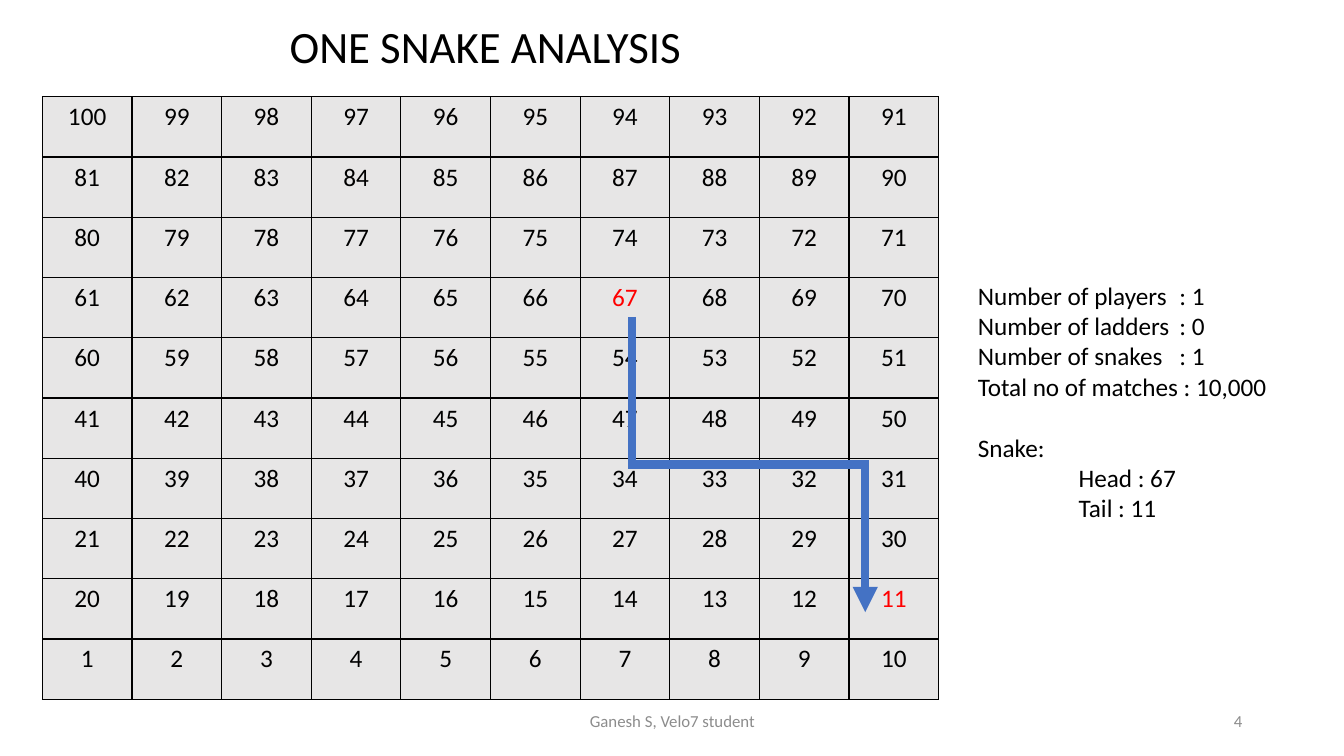
"""Build the one-snake board analysis slide."""
from lxml.etree import SubElement
from pptx import Presentation
from pptx.dml.color import RGBColor
from pptx.enum.shapes import MSO_CONNECTOR
from pptx.enum.text import MSO_ANCHOR, PP_ALIGN
from pptx.oxml.ns import qn
from pptx.util import Inches, Pt

TITLE = "ONE SNAKE ANALYSIS "
FACTS = [
    "Number of players\t: 1",
    "Number of ladders\t: 0",
    "Number of snakes\t: 1",
    "Total no of matches : 10,000",
    "Snake:",
    "\tHead : 67",
    "\tTail : 11",
]
FOOTER, PAGE = "Ganesh S, Velo7 student", "4"
SNAKE = {67, 11}
COLORS = {"ink": "000000", "cell": "E7E6E6", "snake": "FF0000",
          "arrow": "4472C4", "muted": "8C8C8C"}
FONT = "Calibri"

SIDE = 10
LEFT, TOP, WIDTH, HEIGHT = 0.42, 0.96, 8.89, 5.98
COL, ROW = WIDTH / SIDE, HEIGHT / SIDE
HEAD, TAIL = (6.58, 3.65), (9.18, 8.55)
FACT_TABS = {0: 2, 1: 2, 2: 2, 5: 1, 6: 1}


def color(name):
    return RGBColor.from_string(COLORS[name])


def style(paragraph, size, ink="ink", align=PP_ALIGN.LEFT):
    paragraph.alignment = align
    font = paragraph.font
    font.name, font.size, font.color.rgb = FONT, Pt(size), color(ink)


def add_text(slide, box, lines, size, ink="ink", align=PP_ALIGN.LEFT, anchor=MSO_ANCHOR.TOP):
    frame = slide.shapes.add_textbox(*map(Inches, box)).text_frame
    frame.word_wrap = True
    frame.vertical_anchor = anchor
    frame.text = "\n".join(lines)
    for paragraph in frame.paragraphs:
        style(paragraph, size, ink, align)
    return frame.paragraphs


def add_tab(paragraph, inches):
    properties = paragraph._p.get_or_add_pPr()
    stops = properties.makeelement(qn("a:tabLst"))
    properties.find(qn("a:defRPr")).addprevious(stops)
    SubElement(stops, qn("a:tab"), pos=str(Inches(inches)), algn="l")


def add_borders(cell):
    properties = cell._tc.get_or_add_tcPr()
    for side in "LRTB":
        line = SubElement(properties, qn(f"a:ln{side}"), w=str(Pt(1)))
        fill = SubElement(line, qn("a:solidFill"))
        SubElement(fill, qn("a:srgbClr"), val=COLORS["ink"])


def add_board(slide):
    board = slide.shapes.add_table(
        SIDE, SIDE, *map(Inches, (LEFT, TOP, WIDTH, HEIGHT))).table
    board.first_row = board.horz_banding = False
    for row in range(SIDE):
        level = SIDE - 1 - row
        numbers = range(level * SIDE + 1, (level + 1) * SIDE + 1)
        for col, number in enumerate(reversed(numbers) if level % 2 else numbers):
            cell = board.cell(row, col)
            cell.text = str(number)
            style(cell.text_frame.paragraphs[0], 18,
                  "snake" if number in SNAKE else "ink", PP_ALIGN.CENTER)
            add_borders(cell)
            cell.fill.solid()
            cell.fill.fore_color.rgb = color("cell")


def add_snake(slide):
    (x1, y1), (x2, y2) = [(LEFT + c * COL, TOP + r * ROW) for c, r in (HEAD, TAIL)]
    mid_x, mid_y = (x1 + x2) / 2, (y1 + y2) / 2
    half_w, half_h = (y2 - y1) / 2, (x2 - x1) / 2
    snake = slide.shapes.add_connector(
        MSO_CONNECTOR.ELBOW,
        *map(Inches, (mid_x + half_w, mid_y - half_h, mid_x - half_w, mid_y + half_h)))
    snake.line.color.rgb = color("arrow")
    snake.line.width = Pt(6)
    properties = snake.element.spPr
    properties.find(qn("a:xfrm")).set("rot", str(270 * 60000))
    line = properties.find(qn("a:ln"))
    SubElement(line, qn("a:miter"), lim="800000")
    SubElement(line, qn("a:tailEnd"), type="triangle")
    SubElement(properties, qn("a:effectLst"))


def main():
    deck = Presentation()
    deck.slide_width, deck.slide_height = Inches(13.33), Inches(7.5)
    slide = deck.slides.add_slide(deck.slide_layouts[6])
    add_board(slide)
    add_snake(slide)
    add_text(slide, (LEFT, 0.14, WIDTH, 0.64), [TITLE], 32, align=PP_ALIGN.CENTER)
    facts = add_text(slide, (9.6, 2.73, 3.43, 2.83), FACTS, 18)
    facts[FACTS.index("Snake:")].space_before = Pt(22)
    for index, stop in FACT_TABS.items():
        add_tab(facts[index], stop)
    for box, text, align in (((4.42, 6.95, 4.5, 0.4), FOOTER, PP_ALIGN.CENTER),
                             ((9.42, 6.95, 3, 0.4), PAGE, PP_ALIGN.RIGHT)):
        add_text(slide, box, [text], 12, "muted", align, MSO_ANCHOR.MIDDLE)
    deck.save("out.pptx")


if __name__ == "__main__":
    main()
